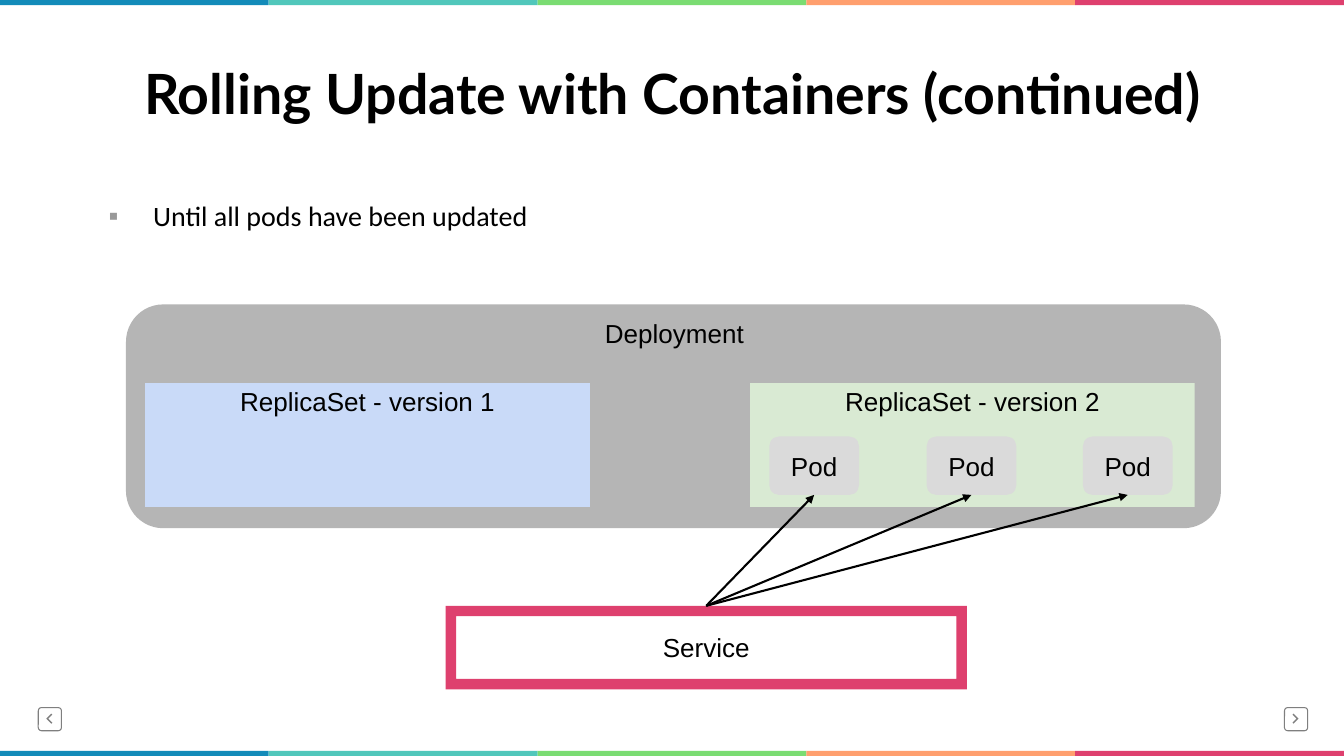
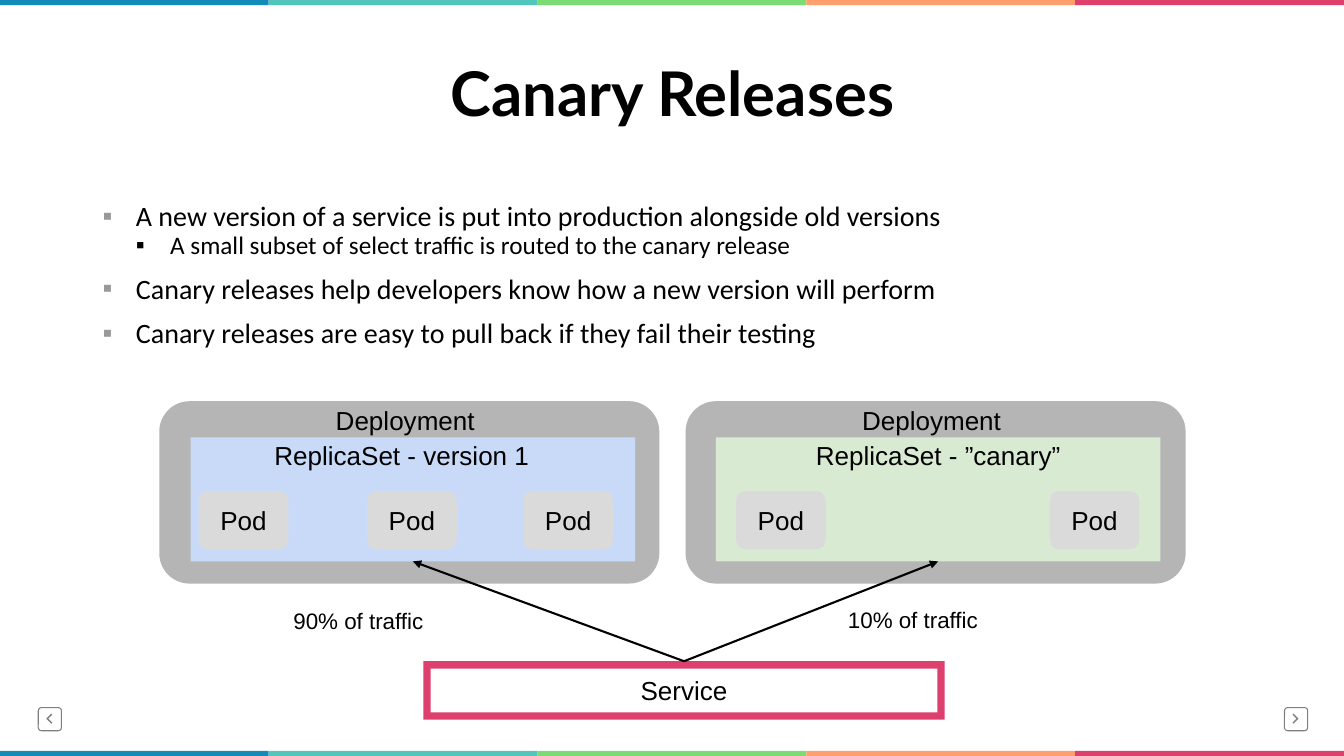
"""Build two slides on rolling updates and canary releases."""
import pptx
import pptx.dml.color
import pptx.enum.shapes
import pptx.enum.text
import pptx.oxml.ns
import pptx.util
from lxml import etree

Inches = pptx.util.Inches
Pt = pptx.util.Pt
SHAPE = pptx.enum.shapes.MSO_SHAPE
ALIGN = pptx.enum.text.PP_ALIGN
ANCHOR = pptx.enum.text.MSO_ANCHOR
qn = pptx.oxml.ns.qn

BLACK, GREY, BULLET_GREY = "000000", "7F7F7F", "999999"
DEPLOYMENT, POD, SERVICE = "B5B5B5", "DADADA", "DE406E"
BLUE, GREEN = "C9DAF8", "D9EAD3"
BANDS = ["138BB9", "51C7BB", "7ADC72", "FF9F6E", "DE406E"]
WIDTH, HEIGHT, BAND_HEIGHT = 13.33, 7.5, 0.05
REPLICA_WIDTH, REPLICA_HEIGHT = 4.41, 1.23
LABEL_WIDTH, LABEL_HEIGHT = 1.85, 0.58


def paint(fill, colour):
    fill.solid()
    fill.fore_color.rgb = pptx.dml.color.RGBColor.from_string(colour)


def add_box(page, kind, left, top, width, height, colour=None, text="",
            size=18.6, align=ALIGN.CENTER):
    place = [Inches(value) for value in (left, top, width, height)]
    if kind is None:
        box = page.shapes.add_textbox(*place)
    else:
        box = page.shapes.add_shape(kind, *place)
        box.shadow.inherit = False
        box.line.fill.background()
        if colour:
            paint(box.fill, colour)
        else:
            box.fill.background()
    if text:
        frame = box.text_frame
        frame.word_wrap = True
        frame.margin_left = frame.margin_right = Inches(0.13)
        frame.margin_top = frame.margin_bottom = Inches(0.13)
        frame.vertical_anchor = ANCHOR.MIDDLE if kind else ANCHOR.TOP
        frame.text = text
        para = frame.paragraphs[0]
        para.alignment = align
        font = para.runs[0].font
        font.name, font.size = "Arial", Pt(size)
        paint(font.fill, BLACK)
    return box


slides = [
    {
        "title": "Rolling Update with Containers (continued)",
        "title_size": 39.6,
        "bullets": [("Until all pods have been updated", 20, 0.5, 0.44, 10, BULLET_GREY)],
        "deployments": [(1.25, 3.02, 10.86, 2.22, 5.87, 3.02)],
        "replicas": [
            (1.44, 3.8, BLUE, "ReplicaSet - version 1", 0, []),
            (7.44, 3.8, GREEN, "ReplicaSet - version 2", 0, [0.19, 1.75, 3.3]),
        ],
        "service": (4.42, 6.01, 5.17, 0.83),
        "arrows_to": "pods",
        "notes": [],
    },
    {
        "title": "Canary Releases",
        "title_size": 44,
        "bullets": [
            ("A new version of a service is put into production alongside old versions",
             20, 0.33, 0.33, 0, BULLET_GREY),
            ("A small subset of select traffic is routed to the canary release",
             18, 0.67, 0.34, 0, BLACK),
            ("Canary releases help developers know how a new version will perform",
             20, 0.33, 0.33, 10.7, BULLET_GREY),
            ("Canary releases are easy to pull back if they fail their testing",
             20, 0.33, 0.33, 10, BULLET_GREY),
        ],
        "deployments": [
            (1.58, 3.98, 4.96, 1.81, 3.2, 3.88),
            (6.8, 3.98, 4.96, 1.81, 8.42, 3.88),
        ],
        "replicas": [
            (1.89, 4.34, BLUE, "ReplicaSet - version 1", -0.11, [0.08, 1.75, 3.3]),
            (7.1, 4.34, GREEN, "ReplicaSet - ”canary”", 0, [0.2, 3.31]),
        ],
        "service": (4.2, 6.56, 5.17, 0.58),
        "arrows_to": "replicas",
        "notes": [("90% of traffic", 2.78, 5.89), ("10% of traffic", 8.28, 5.88)],
    },
]

deck = pptx.Presentation()
deck.slide_width, deck.slide_height = Inches(WIDTH), Inches(HEIGHT)
layout = deck.slide_layouts[5]
pages = [deck.slides.add_slide(layout) for slide in slides]

title = layout.placeholders[0]
title.left, title.top = Inches(0.92), Inches(0.46)
title.width, title.height = Inches(11.5), Inches(1)

shared = []
band_width = WIDTH / len(BANDS)
for top in (0, HEIGHT - BAND_HEIGHT):
    for index, colour in enumerate(BANDS):
        shared.append(add_box(pages[0], SHAPE.RECTANGLE, index * band_width, top,
                              band_width, BAND_HEIGHT, colour))

chevron = [(0.52, 7.09), (0.48, 7.13), (0.52, 7.17), (0.51, 7.18), (0.46, 7.13), (0.51, 7.08)]
for button_left, origin, direction in ((0.38, 0, 1), (12.74, 13.34, -1)):
    button = add_box(pages[0], SHAPE.ROUNDED_RECTANGLE, button_left, 7.02, 0.23, 0.23)
    button.adjustments[0] = 0.14
    paint(button.line.fill, GREY)
    button.line.width = Pt(0.75)
    points = [(Inches(origin + direction * x), Inches(y)) for x, y in chevron]
    builder = pages[0].shapes.build_freeform(*points[0])
    builder.add_line_segments(points[1:], close=True)
    arrow = builder.convert_to_shape()
    arrow.shadow.inherit = False
    arrow.line.fill.background()
    paint(arrow.fill, GREY)
    shared += [button, arrow]

for shape in shared:
    layout.shapes.element.append(shape.element)

for page, slide in zip(pages, slides):
    title = page.shapes.title
    title.text_frame.text = slide["title"]
    title.text_frame.word_wrap = True
    title.text_frame.auto_size = pptx.enum.text.MSO_AUTO_SIZE.NONE
    title.text_frame.vertical_anchor = ANCHOR.MIDDLE
    para = title.text_frame.paragraphs[0]
    para.alignment, para.line_spacing = ALIGN.CENTER, 0.9
    font = para.runs[0].font
    font.name, font.size, font.bold = "Lato", Pt(slide["title_size"]), True
    paint(font.fill, BLACK)

    body = add_box(page, None, 0.92, 1.96, 11.5, 1.8)
    body.text_frame.word_wrap = True
    body.text_frame.text = "\n".join(bullet[0] for bullet in slide["bullets"])
    for para, bullet in zip(body.text_frame.paragraphs, slide["bullets"]):
        text, size, margin, hang, before, bullet_colour = bullet
        para.line_spacing, para.space_before = 0.9, Pt(before)
        font = para.runs[0].font
        font.name, font.size = "Calibri", Pt(size)
        paint(font.fill, BLACK)
        properties = para._p.get_or_add_pPr()
        properties.set("marL", str(Inches(margin)))
        properties.set("indent", str(-Inches(hang)))
        mark_colour = etree.SubElement(properties, qn("a:buClr"))
        etree.SubElement(mark_colour, qn("a:srgbClr"), val=bullet_colour)
        etree.SubElement(properties, qn("a:buFont"), typeface="Arial")
        etree.SubElement(properties, qn("a:buChar"), char="▪")

    for left, top, width, height, label_left, label_top in slide["deployments"]:
        add_box(page, SHAPE.ROUNDED_RECTANGLE, left, top, width, height, DEPLOYMENT)
        add_box(page, None, label_left, label_top, LABEL_WIDTH, LABEL_HEIGHT,
                text="Deployment", align=ALIGN.LEFT)

    targets = {"replicas": [], "pods": []}
    for left, top, colour, label, label_shift, pod_offsets in slide["replicas"]:
        targets["replicas"].append(add_box(page, SHAPE.RECTANGLE, left, top, REPLICA_WIDTH,
                                           REPLICA_HEIGHT, colour))
        add_box(page, None, left + label_shift, top - 0.11, REPLICA_WIDTH, LABEL_HEIGHT,
                text=label)
        for offset in pod_offsets:
            targets["pods"].append(add_box(page, SHAPE.ROUNDED_RECTANGLE, left + offset,
                                           top + 0.53, 0.89, 0.58, POD, "Pod"))

    service = add_box(page, SHAPE.FRAME, *slide["service"], SERVICE, "Service")
    for target in targets[slide["arrows_to"]]:
        line = page.shapes.add_connector(pptx.enum.shapes.MSO_CONNECTOR.STRAIGHT, 0, 0, 0, 0)
        line.begin_connect(service, 0)
        line.end_connect(target, 2)
        paint(line.line.fill, BLACK)
        line.line.width = Pt(1.5)
        etree.SubElement(line.line._get_or_add_ln(), qn("a:tailEnd"), type="triangle")
        etree.SubElement(line.element.spPr, qn("a:effectLst"))

    for text, left, top in slide["notes"]:
        add_box(page, None, left, top, LABEL_WIDTH, 0.54, text=text, size=16, align=ALIGN.LEFT)

deck.save("out.pptx")
